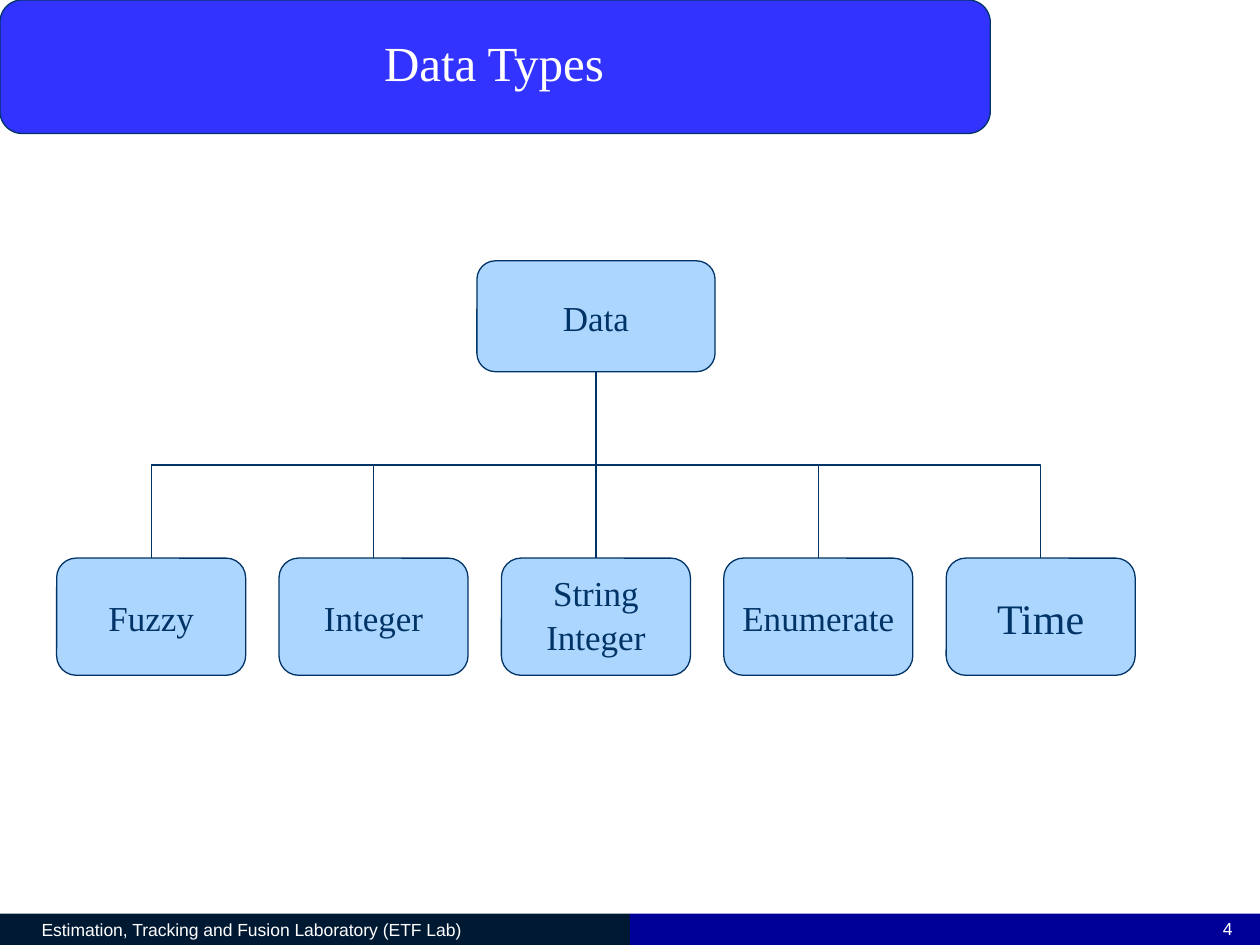
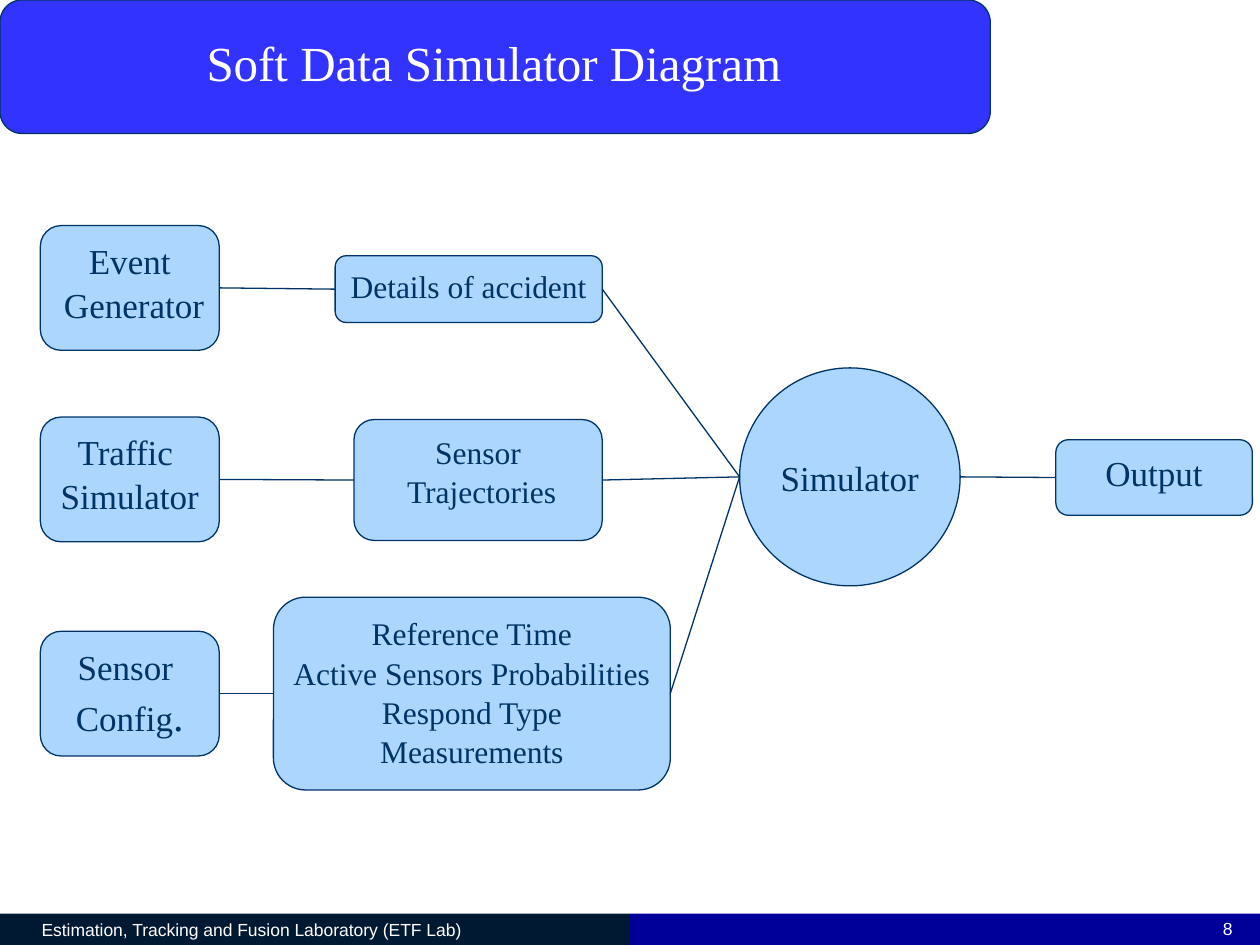
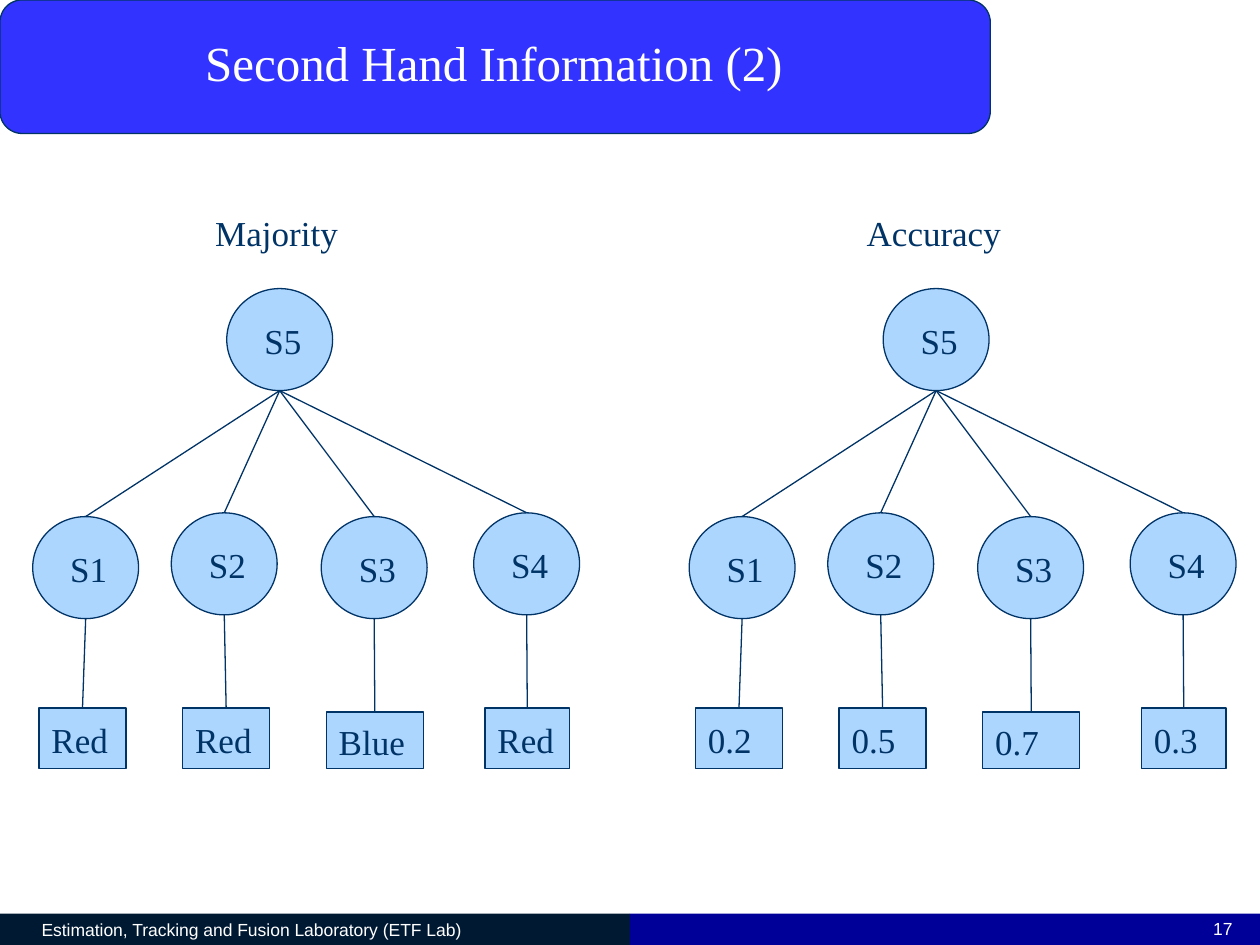
from lxml import etree
from pptx import Presentation, util as u
from pptx.dml.color import RGBColor
from pptx.enum import shapes, text
from pptx.oxml.ns import qn

# Shared look; every slide is a grid of 10 columns by 7.5 rows
CELL = u.Inches(1)
COLUMNS, ROWS = 10, 7.5
color = RGBColor.from_string
NAVY, SKY, WHITE = "003366", "ADD6FF", "FFFFFF"
SERIF, SANS = "Times New Roman", "Arial"
ROUND = shapes.MSO_SHAPE.ROUNDED_RECTANGLE
RECTANGLE = shapes.MSO_SHAPE.RECTANGLE
OVAL = shapes.MSO_SHAPE.OVAL
TOP, MIDDLE = text.MSO_ANCHOR.TOP, text.MSO_ANCHOR.MIDDLE
LEFT, CENTER, RIGHT = text.PP_ALIGN.LEFT, text.PP_ALIGN.CENTER, text.PP_ALIGN.RIGHT
STRAIGHT, ELBOW = shapes.MSO_CONNECTOR.STRAIGHT, shapes.MSO_CONNECTOR.ELBOW
SITES = [(0.5, 0), (0, 0.5), (0.5, 1), (1, 0.5)]  # top, left, bottom, right


def add_node(slide, kind, box, lines="", fill=SKY, line=NAVY, size=20, font=SERIF,
             ink=NAVY, align=CENTER, frame=None):
    """Add a preset shape, or a text box when kind is None, with its lines of text."""
    box = [int(value * CELL) for value in box]
    if kind is None:
        shape = slide.shapes.add_textbox(*box)
    else:
        shape = slide.shapes.add_shape(kind, *box)
        shape.shadow.inherit = False
        shape.fill.solid()
        shape.fill.fore_color.rgb = color(fill)
        if line:
            shape.line.color.rgb = color(line)
            shape.line.width = u.Pt(0.75)
        else:
            shape.line.fill.background()
    settings = {"word_wrap": False, "vertical_anchor": MIDDLE, **(frame or {})}
    for name, value in settings.items():
        setattr(shape.text_frame, name, value)
    if lines:
        shape.text_frame.text = lines
    for paragraph in shape.text_frame.paragraphs:
        paragraph.alignment, paragraph.line_spacing = align, 1.04
        for name, value in {"size": u.Pt(size), "name": font}.items():
            setattr(paragraph.font, name, value)
        paragraph.font.color.rgb = color(ink)
    return shape


def add_link(slide, start, end, kind=STRAIGHT):
    """Draw a line between two ends, each an (x, y) cell or a (shape, site) pair."""
    points = []
    for first, second in (start, end):
        if hasattr(first, "left"):
            across, down = SITES[second]
            points += [int(first.left + across * first.width), int(first.top + down * first.height)]
        else:
            points += [int(first * CELL), int(second * CELL)]
    connector = slide.shapes.add_connector(kind, *points)
    for (first, second), join in ((start, connector.begin_connect), (end, connector.end_connect)):
        if hasattr(first, "left") and first.auto_shape_type != OVAL:
            join(first, second)
    connector.line.color.rgb = color(NAVY)
    connector.line.width = u.Pt(0.75)
    etree.SubElement(connector.element.spPr, qn("a:effectLst"))
    return connector


presentation = Presentation()
presentation.slide_width = int(COLUMNS * CELL)
presentation.slide_height = int(ROWS * CELL)

# Title band, footer and page number on every slide
slides = []
for heading, number in [("Data Types", "4"), ("Soft Data Simulator Diagram", "8"),
                        ("Second Hand Information (2)", "17")]:
    slide = presentation.slides.add_slide(presentation.slide_layouts[5])
    slides.append(slide)
    half, band = COLUMNS / 2, 0.25
    add_node(slide, ROUND, (0, 0, 7.86, 1.06), fill="3333FF")
    add_node(slide, RECTANGLE, (0, ROWS - band, half, band),
             "Estimation, Tracking and Fusion Laboratory (ETF Lab)", fill="001933", line=None,
             size=10, font=SANS, ink=WHITE, align=LEFT, frame={"margin_left": u.Inches(0.33)})
    add_node(slide, RECTANGLE, (half, ROWS - band, half, band), fill="000099", line=None)
    add_node(slide, None, (8.97, 7.23, 0.91, 0.27), number, size=10, font=SANS, ink=WHITE,
             align=RIGHT, frame={"word_wrap": True, "vertical_anchor": TOP})

    title = slide.shapes.title
    slide.shapes.element.append(title.element)  # in front of its band
    for name, value in zip(("left", "top", "width", "height"), (0.59, 0.21, 6.66, 0.57)):
        setattr(title, name, int(value * CELL))
    title.text_frame.text = heading
    for name, value in {"vertical_anchor": TOP, "auto_size": text.MSO_AUTO_SIZE.NONE}.items():
        setattr(title.text_frame, name, value)
    paragraph = title.text_frame.paragraphs[0]
    paragraph.alignment = CENTER
    for name, value in {"size": u.Pt(28), "name": SERIF}.items():
        setattr(paragraph.font, name, value)
    paragraph.font.color.rgb = color(WHITE)

data_types, simulator_diagram, second_hand = slides

# Data types: one root above five equal columns
first_left, pitch, type_width, type_top = 0.45, 1.765, 1.5, 4.43
root_width, root_top, root_height = 1.89, 2.07, 0.88
root_x = first_left + 2 * pitch + type_width / 2
root_bottom = root_top + root_height
bus_y = (root_bottom + type_top) / 2
root = add_node(data_types, ROUND,
                (root_x - root_width / 2, root_top, root_width, root_height), "Data")
types = []
for column, label in enumerate(["Fuzzy", "Integer", "String\nInteger", "Enumerate", "Time"]):
    types.append(add_node(data_types, ROUND,
                          (first_left + column * pitch, type_top, type_width, 0.93), label,
                          size=24 if label == "Time" else 20,
                          frame={"vertical_anchor": TOP if "\n" in label else MIDDLE}))
add_link(data_types, (root, 2), (types[2], 0))
for column in (1, 3):
    add_link(data_types, (root_x + (column - 2) * pitch, bus_y), (types[column], 0))

# Elbows to the outer columns, turned so that they leave the root downwards
drop, run = type_top - root_bottom, 2 * pitch
for side, degrees in ((-1, 90), (1, 270)):
    middle_x = root_x + side * run / 2
    elbow = add_link(data_types, (middle_x + side * drop / 2, bus_y - run / 2),
                     (middle_x - side * drop / 2, bus_y + run / 2), ELBOW)
    elbow.element.spPr.find(qn("a:xfrm")).set("rot", str(degrees * 60000))

# Soft data simulator: three sources, their data, the simulator and its output
simulator = add_node(simulator_diagram, OVAL, (5.87, 2.92, 1.75, 1.73), "Simulator")
output = add_node(simulator_diagram, ROUND, (8.38, 3.49, 1.56, 0.6), "Output",
                  frame={"vertical_anchor": TOP})
add_link(simulator_diagram, (simulator, 3), (output, 1))
for source_top, source_label, data_box, data_label in [
    (1.79, "Event\n Generator", (2.66, 2.03, 2.12, 0.53), "Details of accident"),
    (3.31, "Traffic \nSimulator", (2.81, 3.33, 1.97, 0.96), "Sensor\n Trajectories"),
    (5.01, "Sensor \nConfig", (2.17, 4.74, 3.15, 1.53),
     "Reference Time\nActive Sensors Probabilities\nRespond Type\nMeasurements"),
]:
    source = add_node(simulator_diagram, ROUND, (0.32, source_top, 1.42, 0.99), source_label,
                      frame={"vertical_anchor": TOP})
    data = add_node(simulator_diagram, ROUND, data_box, data_label, size=18,
                    frame={"vertical_anchor": TOP})
    add_link(simulator_diagram, (source, 3), (data, 1))
    add_link(simulator_diagram, (data, 3), (simulator, 1))
dot = source.text_frame.paragraphs[1].add_run()
dot.text = "."
dot.font.size = u.Pt(24)

# Second hand information: the same sensor tree twice, with different readings
circle = (0.84, 0.81)
circle_frame = {"margin_left": u.Inches(0.05), "margin_right": 0}
reading_bottom = 6.1
sensors = [  # circle left and top, reading left, top and width
    (0.26, 4.1, 0.31, 5.62, 0.69),
    (1.36, 4.07, 1.45, 5.62, 0.69),
    (2.55, 4.1, 2.59, 5.65, 0.77),
    (3.76, 4.07, 3.85, 5.62, 0.67),
]
for shift, caption, caption_left, caption_width, readings in [
    (0, "Majority", 1.61, 1.18, ["Red", "Red", "Blue", "Red"]),
    (5.21, "Accuracy", 6.78, 1.28, ["0.2", "0.5", "0.7", "0.3"]),
]:
    add_node(second_hand, None, (caption_left, 1.62, caption_width, 0.44), caption, align=LEFT)
    fusion = add_node(second_hand, OVAL, (1.8 + shift, 2.29, *circle), "S5", frame=circle_frame)
    for index, (left, top, reading_left, reading_top, width) in enumerate(sensors):
        sensor = add_node(second_hand, OVAL, (left + shift, top, *circle), f"S{index + 1}",
                          frame=circle_frame)
        reading = add_node(second_hand, RECTANGLE,
                           (reading_left + shift, reading_top, width, reading_bottom - reading_top),
                           readings[index], align=LEFT)
        add_link(second_hand, (fusion, 2), (sensor, 0))
        add_link(second_hand, (sensor, 2), (reading, 0))

presentation.save("out.pptx")
